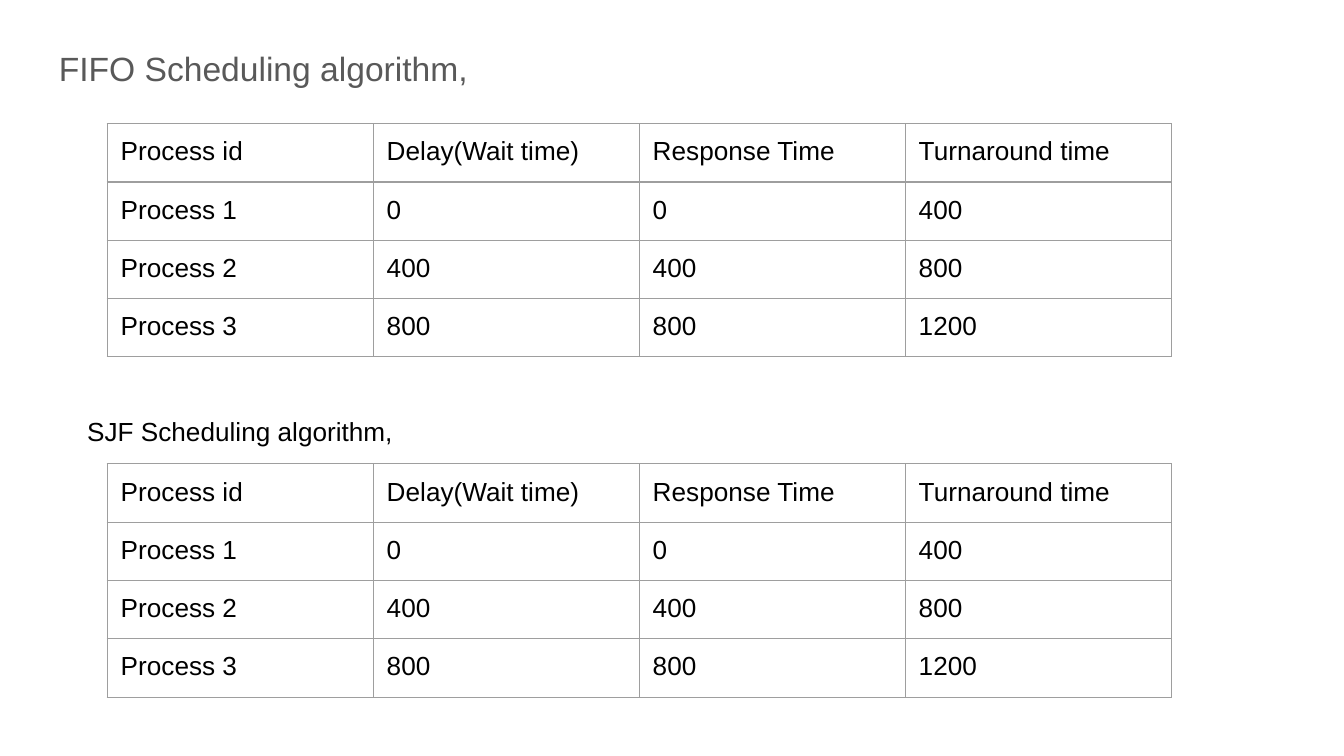
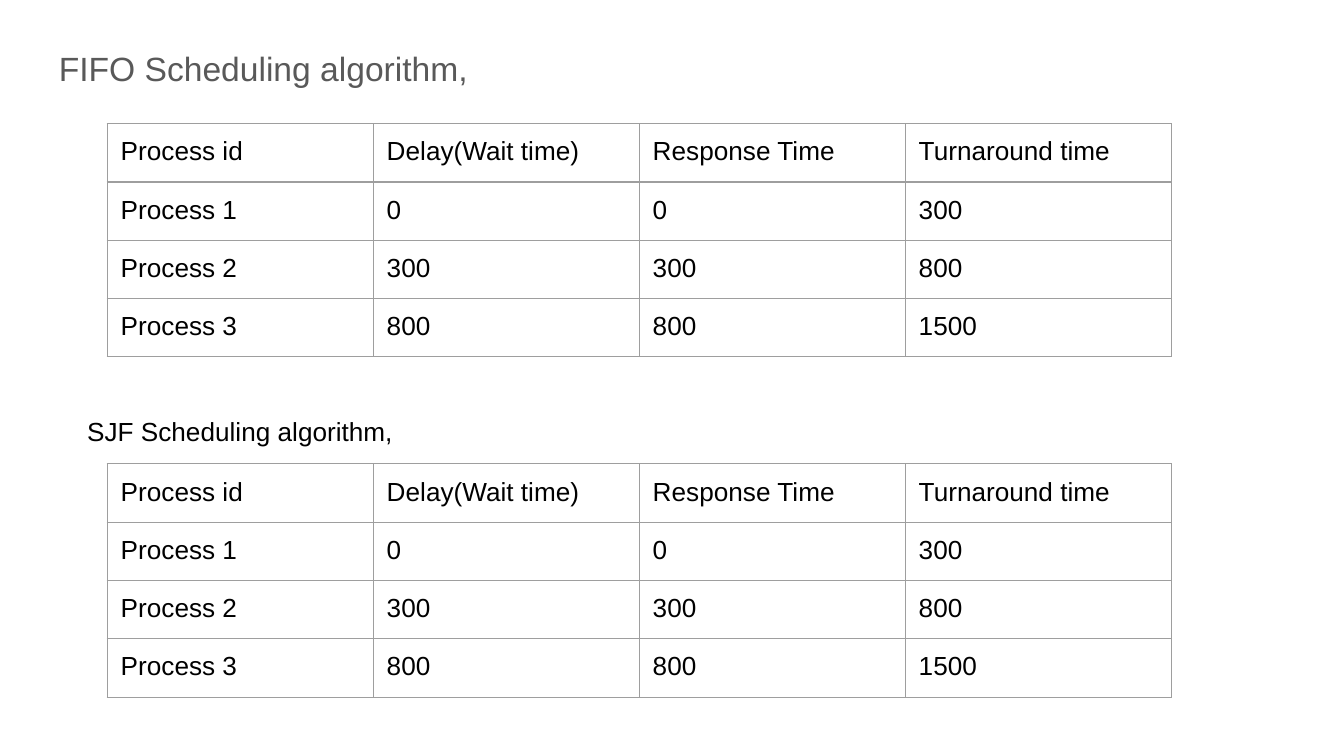
from dataclasses import dataclass
from itertools import accumulate

from lxml import etree
from pptx import Presentation
from pptx.dml.color import RGBColor
from pptx.enum import text
from pptx.oxml import ns
from pptx.slide import Slide
from pptx.table import _Cell
from pptx.text.text import TextFrame
from pptx.util import Pt

FONT = "Arial"
BLACK = RGBColor(0x00, 0x00, 0x00)
TITLE_GREY = RGBColor(0x59, 0x59, 0x59)
BORDER_GREY = RGBColor(0x9E, 0x9E, 0x9E)
WHITE = RGBColor(0xFF, 0xFF, 0xFF)

INSET = Pt(7.2)
BORDER_WIDTH = Pt(0.75)
TABLE_LEFT = Pt(57.5)
COLUMN_WIDTH = Pt(142.5)
HEADERS = ("Process id", "Delay(Wait time)", "Response Time", "Turnaround time")


@dataclass(frozen=True)
class Heading:
    wording: str
    left: float
    top: float
    width: float
    height: float
    size: float
    color: RGBColor
    line_spacing: float = 1.0
    grows: bool = False


@dataclass(frozen=True)
class Section:
    heading: Heading
    table_top: float
    row_height: float


SECTIONS = (
    Section(
        Heading("FIFO Scheduling algorithm,", 24.5, 15.1, 671, 335.5, 18, TITLE_GREY,
                line_spacing=1.15),
        table_top=66.25, row_height=30,
    ),
    Section(
        Heading("SJF Scheduling algorithm,", 39.6, 215.3, 279.4, 31.7, 14, BLACK,
                grows=True),
        table_top=248.5, row_height=31.1,
    ),
)

# Run time of each process, one tuple per slide.
WORKLOADS = ((400, 400, 400), (300, 500, 700))


def schedule_rows(run_times: tuple[int, ...]) -> list[tuple[str, ...]]:
    """Header and timings when processes run one after another in order."""
    ends = list(accumulate(run_times, initial=0))
    rows = [HEADERS]
    for number, (start, end) in enumerate(zip(ends, ends[1:]), start=1):
        rows.append((f"Process {number}", str(start), str(start), str(end)))
    return rows


def write_text(frame: TextFrame, wording: str, size: float, color: RGBColor) -> None:
    frame.text = wording
    frame.word_wrap = True
    for span in frame.paragraphs[0].runs:
        span.font.name = FONT
        span.font.size = Pt(size)
        span.font.color.rgb = color


def add_heading(page: Slide, heading: Heading) -> None:
    box = page.shapes.add_textbox(
        Pt(heading.left), Pt(heading.top), Pt(heading.width), Pt(heading.height))
    frame = box.text_frame
    write_text(frame, heading.wording, heading.size, heading.color)
    frame.margin_left = frame.margin_right = INSET
    frame.margin_top = frame.margin_bottom = INSET
    frame.vertical_anchor = text.MSO_ANCHOR.TOP
    if heading.grows:
        frame.auto_size = text.MSO_AUTO_SIZE.SHAPE_TO_FIT_TEXT
    frame.paragraphs[0].line_spacing = heading.line_spacing


def add_borders(cell: _Cell) -> None:
    """Outline a cell; the lines must precede its fill in the XML."""
    properties = cell._tc.get_or_add_tcPr()
    for position, side in enumerate(("lnL", "lnR", "lnT", "lnB")):
        line = etree.Element(ns.qn(f"a:{side}"), w=str(BORDER_WIDTH))
        fill = etree.SubElement(line, ns.qn("a:solidFill"))
        etree.SubElement(fill, ns.qn("a:srgbClr"), val=str(BORDER_GREY))
        properties.insert(position, line)


def add_schedule(page: Slide, section: Section, rows: list[tuple[str, ...]]) -> None:
    row_height = Pt(section.row_height)
    table = page.shapes.add_table(
        len(rows), len(HEADERS), TABLE_LEFT, Pt(section.table_top),
        COLUMN_WIDTH * len(HEADERS), row_height * len(rows)).table
    table.first_row = False
    table.horz_banding = False
    for column in table.columns:
        column.width = COLUMN_WIDTH
    for row, values in zip(table.rows, rows):
        row.height = row_height
        for cell, value in zip(row.cells, values):
            write_text(cell.text_frame, value, 14, BLACK)
            cell.margin_left = cell.margin_right = INSET
            cell.margin_top = cell.margin_bottom = INSET
            cell.fill.background()
            add_borders(cell)


def main() -> None:
    deck = Presentation()
    deck.slide_width, deck.slide_height = Pt(720), Pt(405)
    for run_times in WORKLOADS:
        page = deck.slides.add_slide(deck.slide_layouts[6])
        page.background.fill.solid()
        page.background.fill.fore_color.rgb = WHITE
        rows = schedule_rows(run_times)
        for section in SECTIONS:
            add_heading(page, section.heading)
            add_schedule(page, section, rows)
    deck.save("out.pptx")


if __name__ == "__main__":
    main()
